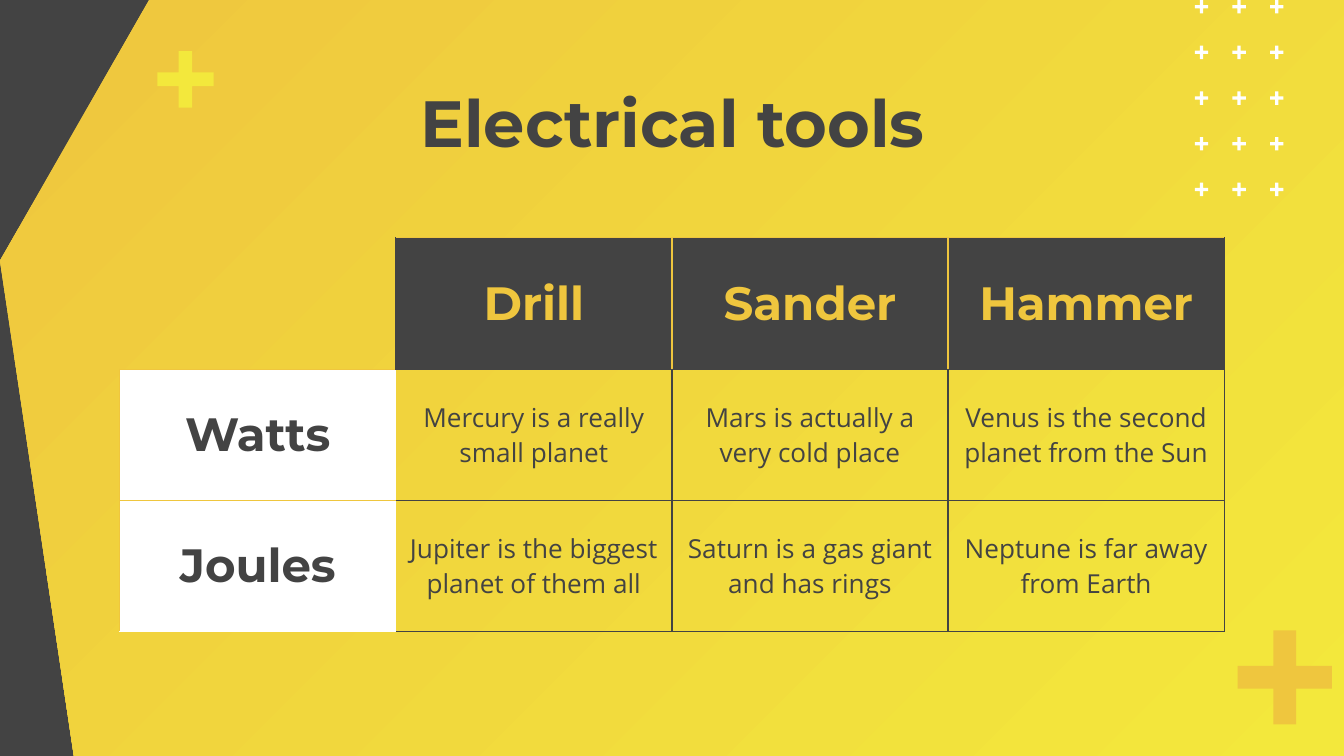
from collections import namedtuple

from lxml.etree import SubElement
from pptx import Presentation
from pptx.dml.color import RGBColor
from pptx.enum.shapes import MSO_SHAPE
from pptx.enum.text import MSO_ANCHOR, MSO_AUTO_SIZE, PP_ALIGN
from pptx.oxml import parse_xml
from pptx.oxml.ns import nsdecls, qn
from pptx.util import Inches, Pt

COLORS = {"dark": "434343", "amber": "EFC63E", "yellow": "F3E83C", "white": "FFFFFF"}
HEADING_FONT, BODY_FONT = "Montserrat", "Open Sans"

# The slide is a grid of 100 columns by 56.25 rows, ten units to the inch
Box = namedtuple("Box", "left top width height")
SLIDE = Box(0, 0, 100, 56.25)

ROWS = [
    ["", "Drill", "Sander", "Hammer"],
    ["Watts", "Mercury is a really small planet", "Mars is actually a very cold place",
     "Venus is the second planet from the Sun"],
    ["Joules", "Jupiter is the biggest planet of them all",
     "Saturn is a gas giant and has rings", "Neptune is far away from Earth"],
]


def units(value):
    return Inches(value / 10)


def color(name):
    return RGBColor.from_string(COLORS[name])


def place(box):
    return [units(value) for value in box]


def write(text_frame, text, size, font_name, color_name, bold):
    paragraph = text_frame.paragraphs[0]
    paragraph.alignment = PP_ALIGN.CENTER
    run = paragraph.add_run()
    run.text = text
    run.font.size = Pt(size)
    run.font.name = font_name
    run.font.bold = bold
    run.font.color.rgb = color(color_name)


def add_panel(slide, box):
    """Gradient panel whose left edge is cut to a point."""
    right, bottom = box.left + box.width, box.top + box.height
    corners = [(right, box.top), (right, bottom), (box.left + 5.5, bottom),
               (box.left, box.top + 19.4), (box.left + 11.1, box.top)]
    points = [(units(x), units(y)) for x, y in corners]
    builder = slide.shapes.build_freeform(*points[0])
    builder.add_line_segments(points[1:], close=True)
    panel = builder.convert_to_shape()
    panel.shadow.inherit = False
    panel.line.fill.background()
    panel.fill.gradient()
    panel.fill.gradient_angle = 315
    for stop, name, position in zip(panel.fill.gradient_stops, ("amber", "yellow"), (0, 1)):
        stop.color.rgb = color(name)
        stop.position = position


def add_plus(shapes, box, color_name):
    plus = shapes.add_shape(MSO_SHAPE.CROSS, *place(box))
    plus.adjustments[0] = 0.38
    plus.shadow.inherit = False
    plus.fill.solid()
    plus.fill.fore_color.rgb = color(color_name)
    plus.line.fill.background()


def add_plus_grid(slide, box, columns, rows, size):
    group = slide.shapes.add_group_shape()
    step_x = (box.width - size) / (columns - 1)
    step_y = (box.height - size) / (rows - 1)
    for column in range(columns):
        for row in range(rows):
            cell = Box(box.left + column * step_x, box.top + row * step_y, size, size)
            add_plus(group.shapes, cell, "white")


def add_title(slide, box, text):
    title = slide.shapes.title
    title.left, title.top, title.width, title.height = place(box)
    frame = title.text_frame
    frame.word_wrap = True
    frame.auto_size = MSO_AUTO_SIZE.NONE
    frame.vertical_anchor = MSO_ANCHOR.TOP
    frame.margin_left = frame.margin_right = units(1)
    frame.margin_top = frame.margin_bottom = units(1)
    write(frame, text, 35, HEADING_FONT, "dark", True)
    # Bring the title in front of the panel
    title.element.getparent().append(title.element)


def cell_borders(row, column, last_row, last_column):
    """Border colours by side; a side that is missing has no line."""
    if row == 0 and column == 0:
        return {"R": "dark", "B": "amber"}
    if row == 0:
        return {"L": "dark" if column == 1 else "amber", "T": "amber",
                "R": "dark" if column == last_column else "amber", "B": "dark"}
    if column == 0:
        return {"L": "amber", "T": "amber", "B": "white" if row == last_row else "amber"}
    borders = {"T": "dark", "R": "dark", "B": "dark"}
    if column > 1:
        borders["L"] = "dark"
    return borders


def draw_borders(cell, borders):
    properties = cell._tc.get_or_add_tcPr()
    for index, side in enumerate("LRTB"):
        line = parse_xml(f'<a:ln{side} {nsdecls("a")} w="{Pt(0.75)}"/>')
        if side in borders:
            fill = SubElement(line, qn("a:solidFill"))
            SubElement(fill, qn("a:srgbClr")).set("val", COLORS[borders[side]])
        else:
            SubElement(line, qn("a:noFill"))
        properties.insert(index, line)


def add_tools_table(slide, box, rows):
    row_count, column_count = len(rows), len(rows[0])
    table = slide.shapes.add_table(row_count, column_count, *place(box)).table
    table.first_row = table.horz_banding = False
    for column in table.columns:
        column.width = units(box.width / column_count)
    for row in table.rows:
        row.height = units(box.height / row_count)

    for row, texts in enumerate(rows):
        for column, text in enumerate(texts):
            cell = table.cell(row, column)
            cell.vertical_anchor = MSO_ANCHOR.MIDDLE
            cell.margin_left = cell.margin_right = units(1)
            cell.margin_top = cell.margin_bottom = units(1)
            heading = row == 0 or column == 0
            if heading and text:
                cell.fill.solid()
                cell.fill.fore_color.rgb = color("dark" if row == 0 else "white")
            else:
                cell.fill.background()
            if text:
                write(cell.text_frame, text, 25 if heading else 14,
                      HEADING_FONT if heading else BODY_FONT,
                      "amber" if row == 0 else "dark", heading)
            draw_borders(cell, cell_borders(row, column, row_count - 1, column_count - 1))


def main():
    presentation = Presentation()
    presentation.slide_width = units(SLIDE.width)
    presentation.slide_height = units(SLIDE.height)
    slide = presentation.slides.add_slide(presentation.slide_layouts.get_by_name("Title Only"))

    # Background and decoration
    slide.background.fill.solid()
    slide.background.fill.fore_color.rgb = color("dark")
    add_panel(slide, SLIDE)
    add_plus(slide.shapes, Box(92.1, 46.9, 7, 7), "amber")
    add_plus(slide.shapes, Box(11.7, 3.8, 4.2, 4.2), "yellow")
    add_plus_grid(slide, Box(88.9, 0, 6.6, 14.6), columns=3, rows=5, size=1)

    # Content
    add_title(slide, Box(7.9, 5.1, 84.3, 6.3), "Electrical tools")
    add_tools_table(slide, Box(8.9, 17.7, 82.2, 29.3), ROWS)

    presentation.save("out.pptx")


if __name__ == "__main__":
    main()
